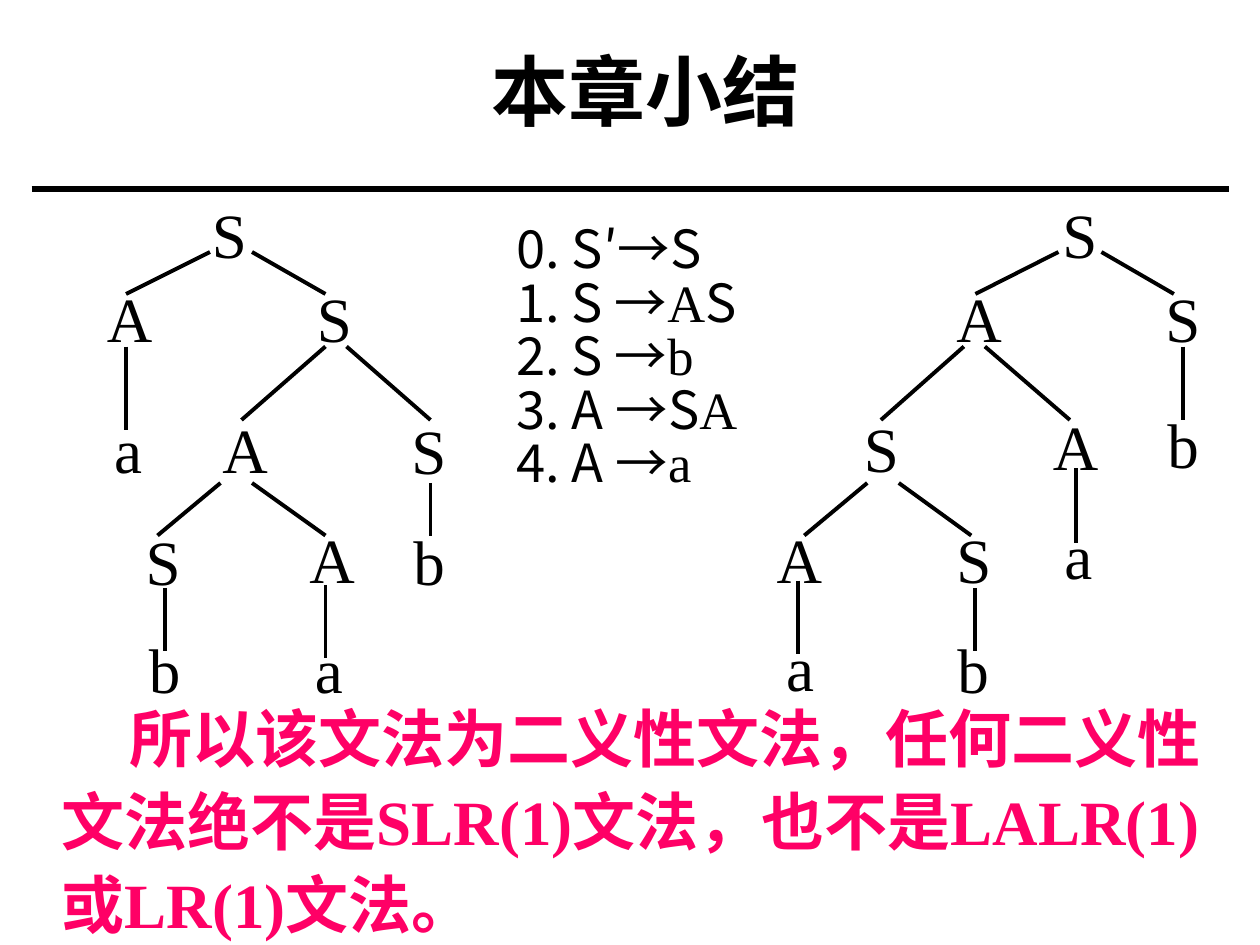
"""Builds the chapter summary slide with two parse trees of an ambiguous grammar."""
import pptx
import pptx.dml.color
import pptx.enum.shapes
import pptx.enum.text
import pptx.oxml
import pptx.oxml.ns
import pptx.util

SERIF, SANS = "Times New Roman", "Noto Sans CJK SC"
BLACK, PINK = "000000", "FF0066"

presentation = pptx.Presentation()
presentation.slide_width = pptx.util.Inches(10)
presentation.slide_height = pptx.util.Inches(7.5)
unit = presentation.slide_width / 120
slide = presentation.slides.add_slide(presentation.slide_layouts[5])


def write(shape, box, runs, size, color=BLACK, bold=False):
    """Place a shape on the grid and fill its paragraph with (text, font) runs."""
    for name, value in zip(("left", "top", "width", "height"), box):
        setattr(shape, name, round(value * unit))
    shape.text_frame.word_wrap = True
    paragraph = shape.text_frame.paragraphs[0]
    for text, font_name in runs:
        run = paragraph.add_run()
        run.text = text
        formats = {"name": font_name, "size": pptx.util.Pt(size), "bold": bold}
        for name, value in formats.items():
            setattr(run.font, name, value)
        run.font.color.rgb = pptx.dml.color.RGBColor.from_string(color)
        east_asian = pptx.oxml.parse_xml(
            f'<a:ea {pptx.oxml.ns.nsdecls("a")} typeface="{SANS}"/>')
        run.font._element.find(pptx.oxml.ns.qn("a:latin")).addnext(east_asian)
    return paragraph


def draw_line(start_x, start_y, end_x, end_y, weight=2.25):
    """Draw a straight black line between two grid points."""
    ends = [round(value * unit) for value in (start_x, start_y, end_x, end_y)]
    line = slide.shapes.add_connector(
        pptx.enum.shapes.MSO_CONNECTOR.STRAIGHT, *ends)
    line.line.width = pptx.util.Pt(weight)
    line.line.color.rgb = pptx.dml.color.RGBColor.from_string(BLACK)
    line._element.spPr.append(
        pptx.oxml.parse_xml(f'<a:effectLst {pptx.oxml.ns.nsdecls("a")}/>'))


title = slide.shapes.title
heading = write(title, (17, 3, 89, 11), [("本章小结", SANS)], 44, bold=True)
heading.alignment = pptx.enum.text.PP_ALIGN.CENTER
title.text_frame.vertical_anchor = pptx.enum.text.MSO_ANCHOR.MIDDLE
draw_line(3, 18, 117, 18, weight=3)

left_symbols = [
    ("S", 19, 18), ("A", 9, 26), ("S", 29, 26), ("a", 9.7, 38.5),
    ("A", 20, 38.5), ("S", 38, 38.6), ("S", 12.7, 49.2), ("A", 28.3, 49),
    ("b", 38.2, 49.2), ("b", 13, 59.5), ("a", 28.8, 59.5),
]
left_branches = [
    (24, 24, 31, 28), (20, 24, 12, 28), (12, 33, 12, 41), (31, 33, 23, 40),
    (33, 33, 41, 40), (21, 46, 15, 51), (24, 46, 31, 51), (41, 46, 41, 51),
    (15.7, 56, 15.7, 62), (31, 55.7, 31, 62.7),
]
right_symbols = [
    ("S", 100, 18), ("A", 89.9, 26), ("S", 109.8, 26), ("S", 81.1, 38.4),
    ("A", 99.1, 38.2), ("b", 110, 38), ("A", 72.8, 49), ("S", 89.9, 49),
    ("a", 100.2, 48.6), ("a", 73.7, 59.3), ("b", 90, 59.5),
]
right_branches = [
    (104.9, 24, 111.8, 28), (100.8, 24, 92.9, 28), (91.8, 33, 83.9, 40),
    (93.8, 33, 101.9, 40), (112.7, 33, 112.7, 40), (82.6, 46, 76.6, 51),
    (85.6, 46, 92.5, 51), (102.5, 44.6, 102.5, 51.7), (92.9, 56, 92.9, 62),
    (76, 55.3, 76, 62.3),
]
trees = [(left_symbols, left_branches), (right_symbols, right_branches)]
for symbols, branches in trees:
    for symbol, left, top in symbols:
        box = slide.shapes.add_textbox(0, 0, 0, 0)
        write(box, (left, top, 7, 8.4), [(symbol, SERIF)], 36)
    for branch in branches:
        draw_line(*branch)

conclusion = "所以该文法为二义性文法，任何二义性文法绝不是SLR(1)文法，也不是LALR(1)或LR(1)文法。"
box = slide.shapes.add_textbox(0, 0, 0, 0)
paragraph = write(box, (4.7, 65.3, 113, 25), [(conclusion, SERIF)], 36, PINK, True)
paragraph.line_spacing = 1.1
paragraph._p.get_or_add_pPr().set("indent", str(round(6.5 * unit)))

productions = [
    [("0. S′→S", SANS)],
    [("1. S →", SANS), ("A", SERIF), ("S", SANS)],
    [("2. S →", SANS), ("b", SERIF)],
    [("3. A →S", SANS), ("A", SERIF)],
    [("4. A →", SANS), ("a", SERIF)],
]
for row, production in enumerate(productions):
    box = slide.shapes.add_textbox(0, 0, 0, 0)
    write(box, (48, 20 + 5.1 * row, 28, 7.2), production, 30)

presentation.save("out.pptx")
